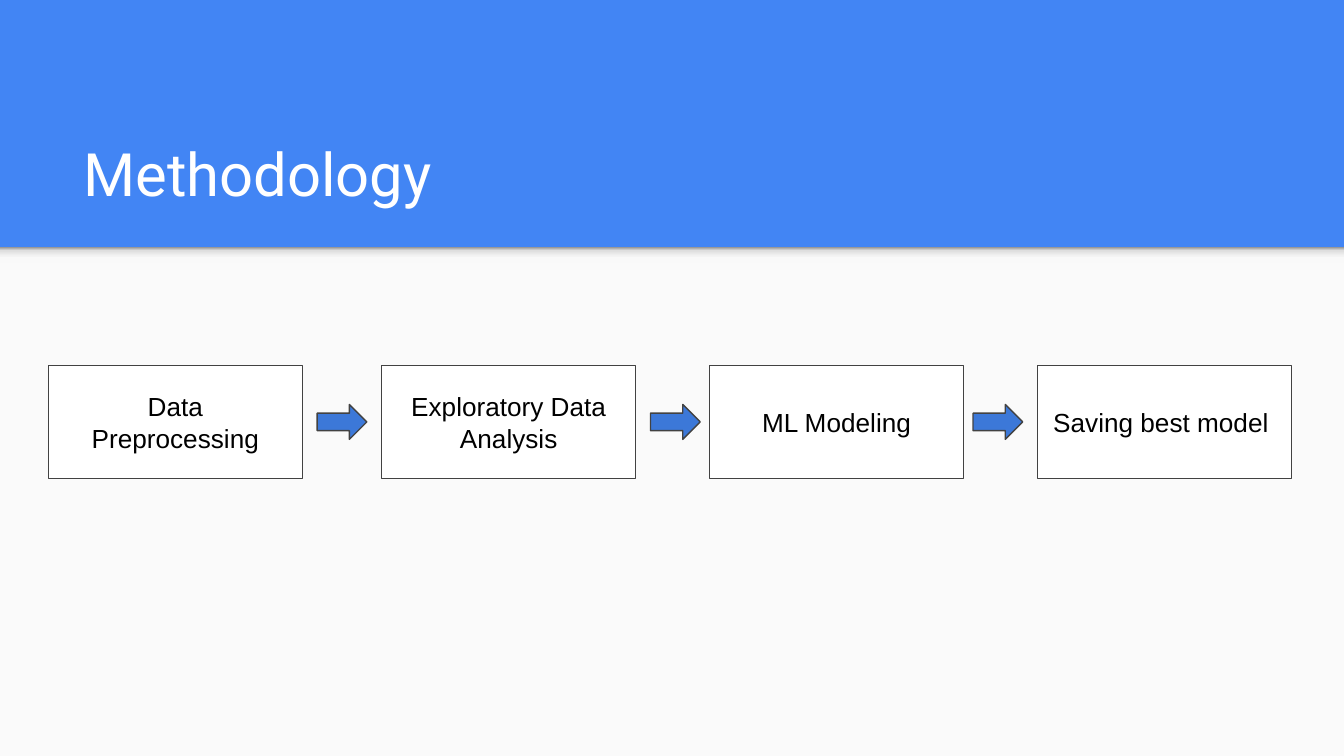
from copy import deepcopy

from pptx import Presentation
from pptx import util as u
from pptx.dml.color import RGBColor
from pptx.enum import shapes, text
from pptx.oxml import ns

W = 10
H = W * 9 / 16
COLORS = {
    "header": "4285F4", "panel": "FAFAFA", "title": "FFFFFF", "box": "FFFFFF",
    "text": "000000", "line": "424242", "arrow": "3C78D8",
}
SHADOW = [(0, "F9F9F9"), (0.36, "F9F9F9"), (0.8, "DEDEDE"), (1, "999999")]
STEPS = ["Data Preprocessing", "Exploratory Data Analysis", "ML Modeling", "Saving best model "]
BOX_LEFTS = [0, 2.48, 4.92, 7.36]
ARROW_LEFTS = [2, 4.48, 6.88]
BOX_W, ARROW_W, ARROW_H = 1.89, 0.37, 0.26


def rgb(name):
    """Return the palette colour with this name."""
    return RGBColor.from_string(COLORS[name])


def write(sp, words, size, font, color, align, anchor):
    """Put formatted words into a shape."""
    tf = sp.text_frame
    frame = {"word_wrap": True, "auto_size": text.MSO_AUTO_SIZE.NONE, "vertical_anchor": anchor}
    frame.update({f"margin_{side}": u.Inches(0.1) for side in ("left", "top", "right", "bottom")})
    for key, value in frame.items():
        setattr(tf, key, value)
    p = tf.paragraphs[0]
    p.alignment = align
    r = p.add_run()
    r.text = words
    for key, value in {"size": u.Pt(size), "name": font, "bold": False}.items():
        setattr(r.font, key, value)
    r.font.color.rgb = rgb(color)


def add_block(s, kind, box, fill=None, line=None):
    """Add a flat preset shape in the given box."""
    sp = s.shapes.add_shape(kind, *map(u.Inches, box))
    sp.shadow.inherit = False
    if fill:
        sp.fill.solid()
        sp.fill.fore_color.rgb = rgb(fill)
    if line:
        sp.line.color.rgb = rgb(line)
        sp.line.width = u.Pt(0.75)
    else:
        sp.line.fill.background()
    return sp


def add_panel(s, box):
    """Add the light lower panel with the header's shadow along its top."""
    x, y, w, h = box
    add_block(s, shapes.MSO_SHAPE.RECTANGLE, box, "panel")
    sp = add_block(s, shapes.MSO_SHAPE.RECTANGLE, (x, y, w, 0.12))
    sp.fill.gradient()
    sp.fill.gradient_angle = 90
    stops = next(sp._element.iter(ns.qn("a:gsLst")))
    for _ in range(len(SHADOW) - len(stops)):
        stops.append(deepcopy(stops[0]))
    for stop, (position, color) in zip(sp.fill.gradient_stops, SHADOW):
        stop.position = position
        stop.color.rgb = RGBColor.from_string(color)


def add_title(s, box, words):
    """Place and fill the title placeholder."""
    title = s.shapes.title
    for key, value in zip(("left", "top", "width", "height"), box):
        setattr(title, key, u.Inches(value))
    write(title, words, 32, "Roboto", "title", text.PP_ALIGN.LEFT, text.MSO_ANCHOR.BOTTOM)


def add_flow(s, box):
    """Add the row of steps with an arrow in each gap."""
    x, y, _, h = box
    for left, step in zip(BOX_LEFTS, STEPS):
        sp = add_block(s, shapes.MSO_SHAPE.RECTANGLE, (x + left, y, BOX_W, h), "box", "line")
        write(sp, step, 14, "Arial", "text", text.PP_ALIGN.CENTER, text.MSO_ANCHOR.MIDDLE)
    for left in ARROW_LEFTS:
        place = (x + left, y + (h - ARROW_H) / 2, ARROW_W, ARROW_H)
        add_block(s, shapes.MSO_SHAPE.RIGHT_ARROW, place, "arrow", "line")


def main():
    """Build and save the methodology slide."""
    prs = Presentation()
    prs.slide_width, prs.slide_height = u.Inches(W), u.Inches(H)
    s = prs.slides.add_slide(prs.slide_layouts[5])
    s.background.fill.solid()
    s.background.fill.fore_color.rgb = rgb("header")
    add_panel(s, (0, 1.84, W, H - 1.84))
    add_title(s, (0.52, 0.81, 8.99, 0.84), "Methodology")
    add_flow(s, (0.36, 2.72, 9.25, 0.84))
    prs.save("out.pptx")


if __name__ == "__main__":
    main()
